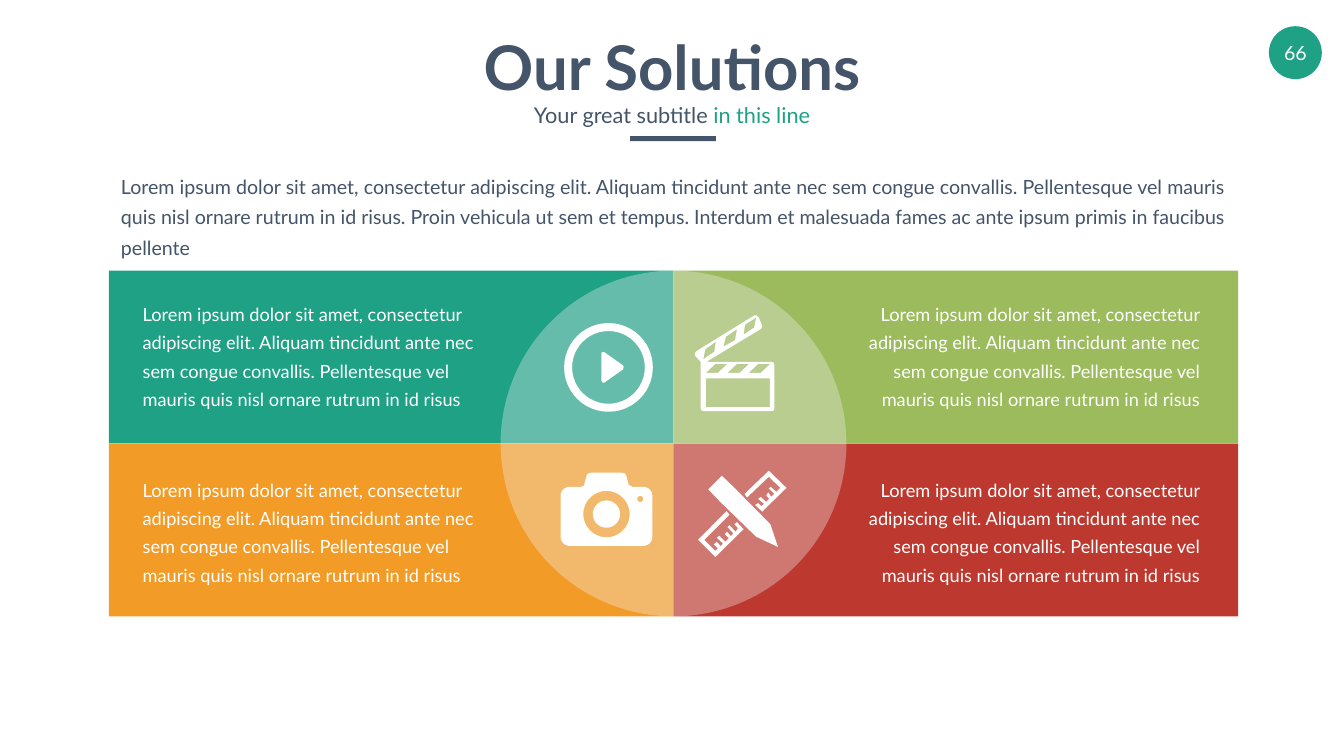
import math

from pptx import Presentation
from pptx import util as u
from pptx.dml.color import RGBColor
from pptx.enum import shapes, text
from pptx.oxml.ns import qn
from lxml import etree

COLORS = {
    "green": "1EA185", "lime": "9BBB5C", "orange": "F29B26", "red": "BD392F",
    "ink": "445469", "white": "FFFFFF", "mist": "F2F2F2",
}
FONT = "Lato"
PANEL_TEXT = (
    "Lorem ipsum dolor sit amet, consectetur adipiscing elit. Aliquam tincidunt "
    "ante nec sem congue convallis. Pellentesque vel mauris quis nisl ornare rutrum in id risus"
)
INTRO_TEXT = (
    "Lorem ipsum dolor sit amet, consectetur adipiscing elit. Aliquam tincidunt "
    "ante nec sem congue convallis. Pellentesque vel mauris quis nisl ornare rutrum "
    "in id risus. Proin vehicula ut sem et tempus. Interdum et malesuada fames ac "
    "ante ipsum primis in faucibus pellente"
)


def circle(cx, cy, r, start=0, sweep=360, steps=48):
    angles = [math.radians(start + sweep * i / steps) for i in range(steps + 1)]
    return [(cx + r * math.cos(a), cy + r * math.sin(a)) for a in angles]


PLAY = [[(0.74, 0.6), (0.76, 0.57), (0.8, 0.58), (1.17, 0.84), (1.18, 0.87),
         (1.17, 0.92), (0.8, 1.18), (0.76, 1.18), (0.74, 1.14)]]
CLAPPER = [
    [(1.54, 0.94), (0.25, 0.94), (0.29, 0.91), (1.32, 0.29), (1.35, 0.25), (1.34, 0.2),
     (1.28, 0.06), (1.24, 0.02), (1.19, 0.02), (0.04, 0.73), (0.01, 0.77), (0.02, 0.82),
     (0.13, 0.94), (0.13, 1.86), (0.14, 1.9), (0.18, 1.92), (1.54, 1.92), (1.58, 1.9),
     (1.59, 1.86), (1.59, 1), (1.58, 0.96)],
    [(1.01, 0.2), (1.23, 0.06), (1.19, 0.26), (0.98, 0.4)],
    [(0.63, 0.44), (0.85, 0.29), (0.81, 0.51), (0.58, 0.64)],
    [(0.18, 0.89), (0.22, 0.69), (0.43, 0.54), (0.4, 0.74)],
    [(0.23, 1.84), (1.5, 1.84), (1.5, 1.27), (0.23, 1.27)],
] + [[(x, 0.98), (x + 0.24, 0.98), (x + 0.05, 1.16), (x - 0.19, 1.16)]
     for x in (0.42, 0.85, 1.27)]
CAMERA = [
    [(0.41, 0.28), (0.46, 0.26), (0.52, 0.05), (0.55, 0.01), (0.61, 0), (1.22, 0),
     (1.27, 0.01), (1.3, 0.05), (1.35, 0.24), (1.43, 0.28)]
    + circle(1.64, 0.46, 0.18, -90, 90, 12) + circle(1.64, 1.27, 0.18, 0, 90, 12)
    + circle(0.18, 1.27, 0.18, 90, 90, 12) + circle(0.18, 0.46, 0.18, 180, 90, 12),
    circle(0.91, 0.82, 0.46), circle(0.91, 0.82, 0.27), circle(1.58, 0.52, 0.06),
]
RULER_TOP = [[
    (1.4, 0.12), (1.63, 0.34), (1.55, 0.42), (1.44, 0.32), (1.4, 0.35), (1.51, 0.46),
    (1.45, 0.52), (1.39, 0.43), (1.35, 0.49), (1.41, 0.56), (1.35, 0.62), (1.24, 0.52),
    (1.19, 0.56), (1.31, 0.66), (1.25, 0.7), (1.19, 0.64), (1.13, 0.68), (1.27, 0.81),
    (1.75, 0.34), (1.4, 0), (0.92, 0.46), (0.97, 0.53)]]
RULER_END = [[
    (0.72, 1.06), (0.79, 1.14), (0.74, 1.21), (0.62, 1.08), (0.58, 1.12), (0.7, 1.24),
    (0.65, 1.3), (0.57, 1.21), (0.53, 1.26), (0.61, 1.34), (0.54, 1.41), (0.42, 1.29),
    (0.37, 1.33), (0.49, 1.44), (0.45, 1.5), (0.37, 1.41), (0.31, 1.46), (0.39, 1.54),
    (0.34, 1.59), (0.12, 1.37), (0.62, 0.87), (0.56, 0.8), (0, 1.37), (0.34, 1.71),
    (0.9, 1.16), (0.77, 1.02)]]
PENCIL = [[(0.71, 0.33), (0.47, 0.1), (0.2, 0.37), (0.43, 0.61), (1.15, 1.31),
           (1.58, 1.51), (1.43, 1.06)]]


def rgb(name):
    return RGBColor.from_string(COLORS[name])


def paint(sp, color):
    sp.shadow.inherit = False
    sp.fill.solid()
    sp.fill.fore_color.rgb = rgb(color)
    sp.line.fill.background()
    return sp


def add_block(s, kind, box, color):
    return paint(s.shapes.add_shape(kind, *map(u.Inches, box)), color)


def place(sp, box):
    sp.left, sp.top, sp.width, sp.height = map(u.Inches, box)


def write(sp, runs, size, align, anchor, insets, spacing=1, bold=False):
    tf = sp.text_frame
    tf.word_wrap = True
    tf.auto_size = text.MSO_AUTO_SIZE.NONE
    tf.vertical_anchor = anchor
    tf.margin_left = tf.margin_right = u.Inches(insets[0])
    tf.margin_top = tf.margin_bottom = u.Inches(insets[1])
    p = tf.paragraphs[0]
    p.alignment, p.line_spacing, p.space_before = align, spacing, u.Pt(0)
    for words, color in runs:
        r = p.add_run()
        r.text = words
        r.font.name, r.font.size, r.font.bold = FONT, u.Pt(size), bold
        r.font.color.rgb = rgb(color)


def add_paragraph_box(s, box, words, size, color, align):
    sp = s.shapes.add_textbox(*map(u.Inches, box))
    write(sp, [(words, color)], size, align, text.MSO_ANCHOR.MIDDLE, (0.27, 0.13), 1.3)


def add_icon(s, x, y, contours):
    def corners(contour):
        return [(u.Inches(x + dx), u.Inches(y + dy)) for dx, dy in contour]

    first, *rest = map(corners, contours)
    builder = s.shapes.build_freeform(*first[0])
    builder.add_line_segments(first[1:], close=True)
    for contour in rest:
        builder.move_to(*contour[0])
        builder.add_line_segments(contour[1:], close=True)
    paint(builder.convert_to_shape(), "white")


def add_header(s, x, y, w):
    center, top = text.PP_ALIGN.CENTER, text.MSO_ANCHOR.TOP
    title, subtitle = s.shapes.title, s.placeholders[1]
    place(title, (x, y, w, 1.58))
    write(title, [("Our Solutions", "ink")], 88, center, top, (0.1, 0.05), bold=True)
    place(subtitle, (x + 0.4, y + 1.26, w - 0.8, 0.92))
    write(subtitle, [("Your great subtitle ", "ink"), ("in this line", "green")],
          31, center, top, (0.24, 0.12), 1.2)
    add_block(s, shapes.MSO_SHAPE.RECTANGLE, (x + w / 2 - 0.83, y + 2.17, 1.7, 0.1), "ink")


def add_page_badge(s, x, y, size):
    sp = add_block(s, shapes.MSO_SHAPE.OVAL, (x, y, size, size), "green")
    write(sp, [("66", "white")], 28, text.PP_ALIGN.CENTER, text.MSO_ANCHOR.MIDDLE, (0, 0))


def add_quadrants(s, x, y, w, h):
    pw, ph = w / 2, h / 2
    for i, color in enumerate(("green", "lime", "orange", "red")):
        row, col = divmod(i, 2)
        add_block(s, shapes.MSO_SHAPE.RECTANGLE, (x + col * pw, y + row * ph, pw, ph), color)

    disc = add_block(s, shapes.MSO_SHAPE.OVAL, (x + pw - ph, y, h, h), "mist")
    fill = disc.fill._xPr.find(qn("a:solidFill"))
    etree.SubElement(fill[0], qn("a:alpha"), val="34000")

    for col, (dx, align) in enumerate(((0.4, text.PP_ALIGN.LEFT), (14.47, text.PP_ALIGN.RIGHT))):
        for row in range(2):
            box = (x + dx, y + 0.38 + row * 3.49, 7.45, 2.52)
            add_paragraph_box(s, box, PANEL_TEXT, 26, "white", align)

    ring = add_block(s, shapes.MSO_SHAPE.DONUT, (x + 9.03, y + 1.04, 1.76, 1.76), "white")
    ring.adjustments[0] = 0.09
    add_icon(s, x + 9.03, y + 1.04, PLAY)
    add_icon(s, x + 11.61, y + 0.87, CLAPPER)
    add_icon(s, x + 8.96, y + 4.01, CAMERA)
    for part in (RULER_TOP, RULER_END, PENCIL):
        add_icon(s, x + 11.69, y + 3.97, part)


def main():
    prs = Presentation()
    prs.slide_width, prs.slide_height = u.Inches(26.66), u.Inches(15)
    s = prs.slides.add_slide(prs.slide_layouts[0])
    add_header(s, 6.57, 0.53, 13.52)
    add_page_badge(s, 25.17, 0.52, 1.05)
    add_paragraph_box(s, (2.13, 3.5, 22.43, 1.47), INTRO_TEXT, 28, "ink", text.PP_ALIGN.JUSTIFY)
    add_quadrants(s, 2.16, 5.37, 22.4, 6.86)
    prs.save("out.pptx")


if __name__ == "__main__":
    main()
